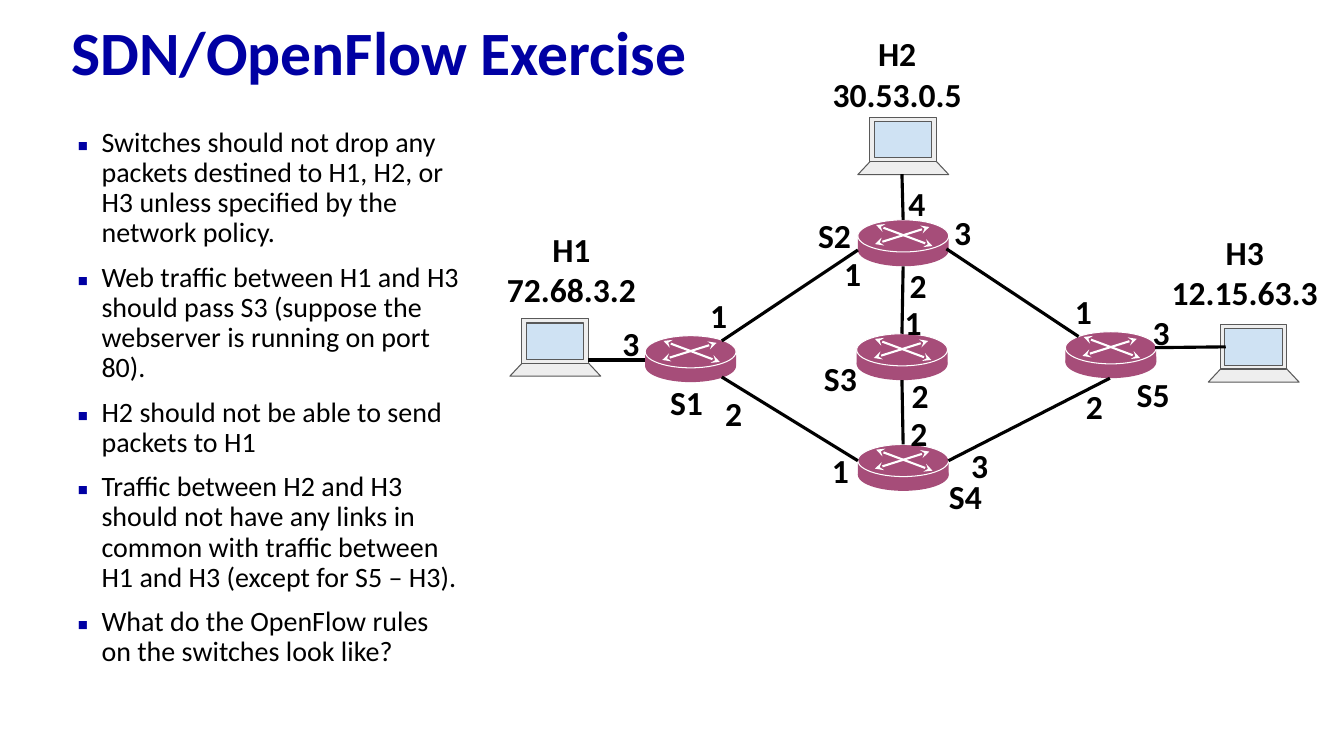
import pptx
import pptx.dml.color
import pptx.enum.shapes
import pptx.enum.text
import pptx.oxml
import pptx.oxml.ns
import pptx.util

Cm = pptx.util.Cm
Pt = pptx.util.Pt
hue = pptx.dml.color.RGBColor.from_string
Kind = pptx.enum.shapes.MSO_SHAPE
Fit = pptx.enum.text.MSO_AUTO_SIZE
Mid = pptx.enum.text.MSO_ANCHOR.MIDDLE
Al = pptx.enum.text.PP_ALIGN
space = pptx.oxml.ns.nsdecls("a")


def draw(home, ends, tint, width, tips=()):
    link = home.add_connector(pptx.enum.shapes.MSO_CONNECTOR.STRAIGHT, *map(Cm, ends))
    link.line.color.rgb = hue(tint)
    link.line.width = Pt(width)
    for tip in tips:
        link.get_or_add_ln().append(pptx.oxml.parse_xml(f'<a:{tip} {space} type="stealth"/>'))
    link._element.spPr.append(pptx.oxml.parse_xml(f"<a:effectLst {space}/>"))


def write(area, lines, frame, para, font, tint):
    box = slide.shapes.add_textbox(*map(Cm, area)).text_frame
    for name, value in frame.items():
        setattr(box, name, value)
    box.text = "\n".join(lines)
    for item in box.paragraphs:
        for name, value in para.items():
            setattr(item, name, value)
        for name, value in font.items():
            setattr(item.font, name, value)
        item.font.color.rgb = hue(tint)
    return box


deck = pptx.Presentation()
deck.slide_width = Cm(33.87)
deck.slide_height = Cm(19.05)
slide = deck.slides.add_slide(deck.slide_layouts[6])

write((1.55, 0.15, 29.21, 2.49), ["SDN/OpenFlow Exercise"],
      {"word_wrap": True, "vertical_anchor": Mid}, {"line_spacing": 0.9},
      {"name": "Calibri", "size": Pt(44), "bold": True}, "0000A3")

plum, gray = "A64D79", "EEEEEE"
switch = [
    (Kind.OVAL, (0, 0.36, 2.29, 0.81), plum, None),
    (Kind.ROUNDED_RECTANGLE, (0, 0.41, 2.29, 0.41), plum, None),
    (Kind.OVAL, (0, 0, 2.29, 0.81), plum, "FFFFFF"),
]
rays = [(1.88, 0.66, 0.46, 0.13), (1.8, 0.18, 0.43, 0.61)]
laptop = [
    (Kind.ISOSCELES_TRIANGLE, (0, 0.23, 2.29, 1.22), gray, "595959"),
    (Kind.RECTANGLE, (0.3, 0, 1.68, 1.12), gray, "595959"),
    (Kind.RECTANGLE, (0.41, 0.11, 1.45, 0.91), "CFE2F3", "595959"),
]
nodes = [
    (switch, rays, [(26.85, 8.36), (16.26, 8.46), (21.62, 11.2), (21.62, 5.54), (21.59, 8.41)]),
    (laptop, [], [(12.85, 8.03), (30.45, 8.18), (21.62, 2.95)]),
]
for parts, arrows, spots in nodes:
    for x, y in spots:
        group = slide.shapes.add_group_shape().shapes
        for kind, (dx, dy, wide, high), fill, edge in parts:
            part = group.add_shape(kind, Cm(x + dx), Cm(y + dy), Cm(wide), Cm(high))
            part.shadow.inherit = False
            part.fill.solid()
            part.fill.fore_color.rgb = hue(fill)
            if edge:
                part.line.color.rgb = hue(edge)
                part.line.width = Pt(0.75)
            else:
                part.line.fill.background()
        for ax, ay, bx, by in arrows:
            draw(group, (x + ax, y + ay, x + bx, y + by), "FFFFFF", 1.5, ("headEnd", "tailEnd"))

cables = [
    (21.62, 6.3, 18.19, 8.59),
    (21.62, 11.61, 18.19, 9.5),
    (27.97, 9.53, 23.9, 11.61),
    (27.18, 8.48, 23.85, 6.27),
    (22.76, 6.71, 22.73, 8.41),
    (22.73, 9.58, 22.76, 11.2),
    (16.26, 9.07, 14.83, 9.07),
    (22.76, 5.54, 22.73, 4.39),
    (29.11, 8.76, 30.89, 8.74),
]
for cable in cables:
    draw(slide.shapes, cable, "000000", 2.25)

rules = [
    "Switches should not drop any packets destined to H1, H2, or H3 unless specified by the network policy.",
    "Web traffic between H1 and H3 should pass S3 (suppose the webserver is running on port 80).",
    "H2 should not be able to send packets to H1",
    "Traffic between H2 and H3 should not have any links in common with traffic between H1 and H3 (except for S5 – H3).",
    "What do the OpenFlow rules on the switches look like?",
]
body = write((1.32, 3.1, 10.57, 14.66), rules, {"word_wrap": True},
             {"line_spacing": 0.9, "space_before": Pt(10)},
             {"name": "Calibri", "size": Pt(20)}, "000000")
marks = ['<a:buClr {}><a:srgbClr val="0000A3"/></a:buClr>',
         '<a:buFont {} typeface="Noto Sans Symbols"/>', '<a:buChar {} char="▪"/>']
for rule in body.paragraphs:
    props = rule._p.get_or_add_pPr()
    props.set("marL", str(Cm(0.99)))
    props.set("indent", str(Cm(-0.61)))
    for place, mark in enumerate(marks):
        node = pptx.oxml.parse_xml(mark.format(space))
        props.insert(2 + place, node)

pad = {"margin_" + side: Cm(0.33) for side in ("left", "top", "right", "bottom")}
frame = {"word_wrap": True, "auto_size": Fit.SHAPE_TO_FIT_TEXT, **pad}
bold = {"name": "Calibri", "size": Pt(24), "bold": True}
hosts = [
    (11.68, 5.44, "H1", "72.68.3.2"),
    (19.89, 0.51, "H2", "30.53.0.5"),
    (28.65, 5.51, "H3", "12.15.63.3"),
]
names = [
    (16.31, 9.3, "S1"), (20.04, 5.08, "S2"), (20.19, 8.69, "S3"),
    (23.34, 11.66, "S4"), (28.07, 9.09, "S5"),
]
ports = [
    (17.12, 7.09, "1"), (17.5, 9.58, "2"), (14.91, 7.8, "3"),
    (20.5, 6.05, "1"), (22.15, 6.35, "2"), (23.27, 5, "3"), (22.12, 4.29, "4"),
    (22.02, 7.29, "1"), (22.2, 9.12, "2"),
    (20.19, 11, "1"), (22.17, 10.08, "2"), (23.7, 10.87, "3"),
    (26.31, 7.01, "1"), (26.59, 9.4, "2"), (28.27, 7.52, "3"),
]
for tags, wide, high in [(names, 1.98, 1.7), (hosts, 5.44, 2.74), (ports, 1.98, 1.7)]:
    for x, y, *lines in tags:
        write((x, y, wide, high), lines, frame, {"alignment": Al.CENTER}, bold, "000000")

deck.save("out.pptx")
